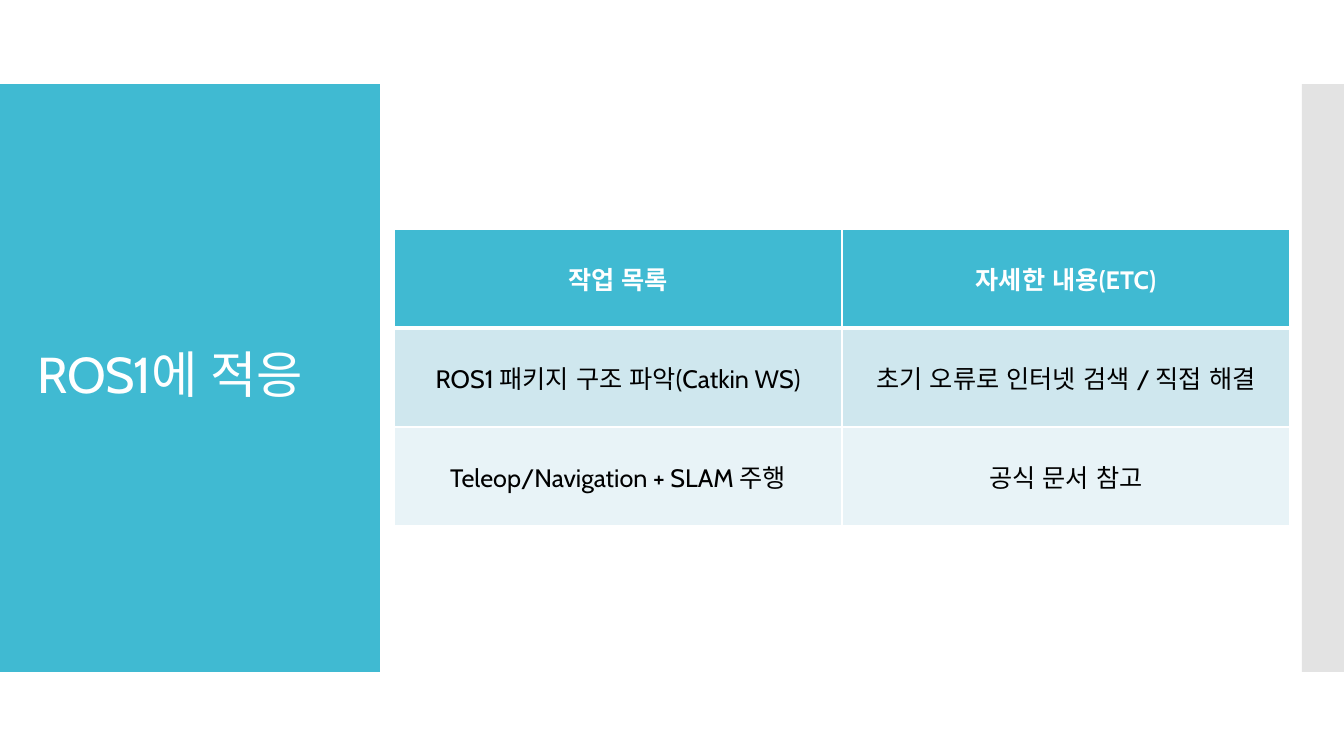
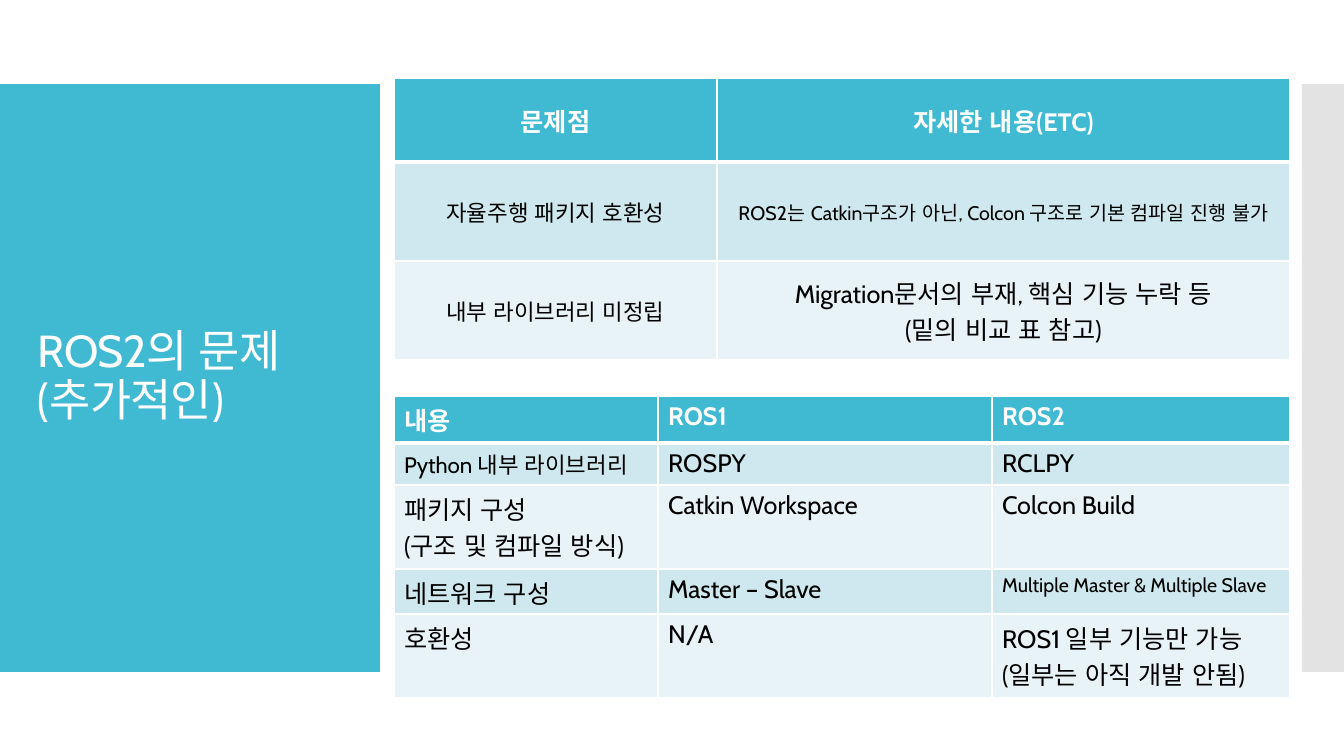
from lxml.etree import SubElement
from pptx import Presentation
from pptx.dml.color import RGBColor
from pptx.enum.lang import MSO_LANGUAGE_ID as Language
from pptx.enum.shapes import MSO_SHAPE as Shape
from pptx.enum.text import MSO_ANCHOR as Anchor, PP_ALIGN as Align
from pptx.oxml.ns import qn
from pptx.util import Pt

TEAL, GREY, WHITE, BLACK = "40BAD2", "C8C8C8", "FFFFFF", "000000"
ROW_FILLS = ("E8F3F7", "CFE7EE")
FONT = "Cabin"
BODY_SIZE = 18
SLIDE_W, SLIDE_H = 1344, 756
BAND_TOP, BAND_H = 84, 588
TITLE_BAND_W, EDGE_BAND_W = 380, 42
TITLE_BOX = (28, 124, 325, 507)
TABLE_LEFT = 394
CENTRED_MARGIN = 16

# A cell is its text, or (text, size) where the size differs from BODY_SIZE.
SLIDES = [
    {"title": "ROS1에 적응", "title_size": 36, "tables": [
        {"top": 229, "columns": (448, 448), "heights": (99, 99, 99), "centred": True,
         "rows": [
             ("작업 목록", "자세한 내용(ETC)"),
             ("ROS1 패키지 구조 파악(Catkin WS)", "초기 오류로 인터넷 검색 / 직접 해결"),
             ("Teleop/Navigation + SLAM 주행", "공식 문서 참고"),
         ]},
    ]},
    {"title": "ROS2의 문제\n(추가적인)", "title_size": 32, "tables": [
        {"top": 78, "columns": (323, 573), "heights": (84, 99, 99), "centred": True,
         "rows": [
             ("문제점", "자세한 내용(ETC)"),
             (("자율주행 패키지 호환성", 16),
              ("ROS2는 Catkin구조가 아닌, Colcon 구조로 기본 컴파일 진행 불가", 14)),
             (("내부 라이브러리 미정립", 16),
              "Migration문서의 부재, 핵심 기능 누락 등\n(밑의 비교 표 참고)"),
         ]},
        {"top": 396, "columns": (264, 334, 298), "heights": (47, 42, 84, 45, 84),
         "centred": False,
         "rows": [
             ("내용", "ROS1", "ROS2"),
             (("Python 내부 라이브러리", 16), "ROSPY", "RCLPY"),
             ("패키지 구성\n(구조 및 컴파일 방식)", "Catkin Workspace", "Colcon Build"),
             ("네트워크 구성", "Master – Slave", ("Multiple Master & Multiple Slave", 14)),
             ("호환성", "N/A", "ROS1 일부 기능만 가능\n(일부는 아직 개발 안됨)"),
         ]},
    ]},
]


def px(length):
    """Turn pixels into EMU."""
    return round(length * 914400 / 100.8)


def rgb(code):
    """Turn a hex string into a colour."""
    return RGBColor.from_string(code)


def write(frame, text, size, color, bold=False):
    """Put text in a frame as one formatted paragraph and return it."""
    paragraph = frame.paragraphs[0]
    paragraph.text = text
    for run in paragraph.runs:
        font = run.font
        font.name, font.size, font.bold = FONT, Pt(size), bold
        font.language_id = Language.KOREAN
        font.color.rgb = rgb(color)
    return paragraph


def add_band(slide, left, width, color, opacity=100):
    """Draw a full-height side band."""
    band = slide.shapes.add_shape(
        Shape.RECTANGLE, px(left), px(BAND_TOP), px(width), px(BAND_H))
    band.shadow.inherit = False
    band.line.fill.background()
    band.fill.solid()
    band.fill.fore_color.rgb = rgb(color)
    if opacity < 100:
        tint = band.fill._xPr.find(".//" + qn("a:srgbClr"))
        SubElement(tint, qn("a:alpha"), val=str(opacity * 1000))


def add_title(slide, text, size):
    """Write the slide title on the teal band."""
    box = slide.shapes.add_textbox(*map(px, TITLE_BOX))
    frame = box.text_frame
    frame.word_wrap = True
    frame.vertical_anchor = Anchor.MIDDLE
    paragraph = write(frame, text, size, WHITE)
    paragraph.line_spacing = 0.9
    for run in paragraph.runs:
        run._r.get_or_add_rPr().set("spc", "-60")


def add_borders(cell, row):
    """Give a cell white borders, thick under the header row."""
    widths = {"L": 1, "R": 1, "T": 3 if row == 1 else 1, "B": 3 if row == 0 else 1}
    properties = cell._tc.get_or_add_tcPr()
    for side, width in widths.items():
        line = SubElement(properties, qn("a:ln" + side), w=str(Pt(width)))
        SubElement(SubElement(line, qn("a:solidFill")), qn("a:srgbClr"), val=WHITE)


def fill_cell(cell, entry, row, centred):
    """Write and style one table cell."""
    text, size = entry if isinstance(entry, tuple) else (entry, BODY_SIZE)
    header = row == 0
    paragraph = write(cell.text_frame, text, size, WHITE if header else BLACK, header)
    if centred:
        paragraph.alignment = Align.CENTER
        cell.vertical_anchor = Anchor.MIDDLE
        cell.margin_left = cell.margin_right = px(CENTRED_MARGIN)
    add_borders(cell, row)
    cell.fill.solid()
    cell.fill.fore_color.rgb = rgb(TEAL if header else ROW_FILLS[row % 2])


def add_grid(slide, top, columns, heights, centred, rows):
    """Build a table with a teal header and two alternating row fills."""
    table = slide.shapes.add_table(
        len(rows), len(columns), px(TABLE_LEFT), px(top),
        px(sum(columns)), px(sum(heights))).table
    for column, width in zip(table.columns, columns):
        column.width = px(width)
    for r, (height, entries) in enumerate(zip(heights, rows)):
        table.rows[r].height = px(height)
        for c, entry in enumerate(entries):
            fill_cell(table.cell(r, c), entry, r, centred)


def main():
    """Build and save the presentation."""
    deck = Presentation()
    deck.slide_width, deck.slide_height = px(SLIDE_W), px(SLIDE_H)
    for content in SLIDES:
        slide = deck.slides.add_slide(deck.slide_layouts[6])
        add_band(slide, 0, TITLE_BAND_W, TEAL)
        add_band(slide, SLIDE_W - EDGE_BAND_W, EDGE_BAND_W, GREY, opacity=50)
        add_title(slide, content["title"], content["title_size"])
        for grid in content["tables"]:
            add_grid(slide, **grid)
    deck.save("out.pptx")


main()
